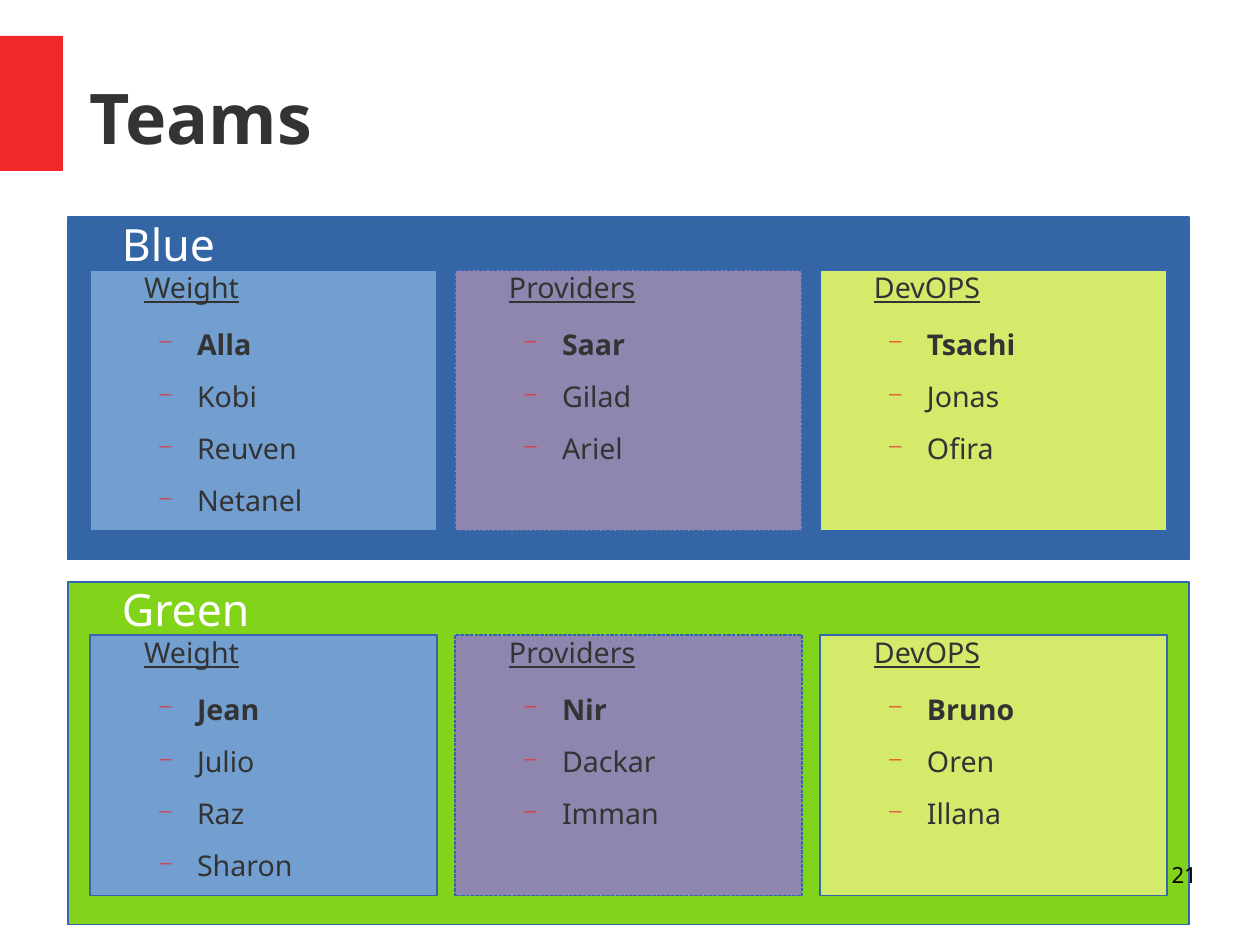
from dataclasses import dataclass
from lxml.etree import SubElement
from pptx import Presentation
from pptx.dml.color import RGBColor as RGB
from pptx.enum.dml import MSO_LINE as DASH
from pptx.enum.shapes import MSO_SHAPE as SHAPE
from pptx.enum.text import MSO_ANCHOR as ANCHOR, PP_ALIGN as ALIGN
from pptx.oxml.ns import qn
from pptx.util import Pt

PX = 8000


@dataclass
class Theme:
    font: str = "Noto Sans"
    red: str = "EF2929"
    edge: str = "3465AF"
    ink: str = "333333"
    white: str = "FFFFFF"
    black: str = "000000"
    title: int = 44
    team: int = 28
    body: int = 18
    page: int = 14


theme = Theme()
groups = [("Weight", "729FCF"), ("Providers", "8E86AE"), ("DevOPS", "D4EA6B")]
teams = [
    ("Blue", "3465A4", [["Alla", "Kobi", "Reuven", "Netanel"],
                        ["Saar", "Gilad", "Ariel"],
                        ["Tsachi", "Jonas", "Ofira"]]),
    ("Green", "81D41A", [["Jean", "Julio", "Raz", "Sharon"],
                         ["Nir", "Dackar", "Imman"],
                         ["Bruno", "Oren", "Illana"]]),
]

deck = Presentation()
deck.slide_width, deck.slide_height = 1260 * PX, 945 * PX
slide = deck.slides.add_slide(deck.slide_layouts[6])


def add_box(place, fill=None, edge=None):
    """Add a rectangle, or a text box if there is no fill, without insets."""
    area = [n * PX for n in place]
    if fill:
        box = slide.shapes.add_shape(SHAPE.RECTANGLE, *area)
        box.shadow.inherit = False
        box.fill.solid()
        box.fill.fore_color.rgb = RGB.from_string(fill)
        if edge:
            box.line.color.rgb = RGB.from_string(edge)
            box.line.width = 0
        else:
            box.line.fill.background()
    else:
        box = slide.shapes.add_textbox(*area)
    frame = box.text_frame
    frame.word_wrap = True
    frame.vertical_anchor = ANCHOR.TOP
    frame.margin_left = frame.margin_right = 0
    frame.margin_top = frame.margin_bottom = 0
    return box


def style(para, size, color, left=0, hang=0, after=0, align=ALIGN.LEFT):
    para.alignment = align
    para.space_after = Pt(after)
    props = para._p.get_or_add_pPr()
    props.set("marL", str(left * PX))
    props.set("indent", str(-hang * PX))
    font = para.runs[0].font
    font.name, font.size = theme.font, Pt(size)
    font.color.rgb = RGB.from_string(color)
    return font


add_box((0, 36, 63, 135), theme.red)

title = add_box((90, 38, 1107, 158)).text_frame
title.vertical_anchor = ANCHOR.MIDDLE
title.text = "Teams"
style(title.paragraphs[0], theme.title, theme.ink).bold = True

for row, (team, fill, lists) in enumerate(teams):
    drop = row * 365
    panel = add_box((68, 217 + drop, 1121, 343), fill, theme.edge).text_frame
    panel.text = team
    style(panel.paragraphs[0], theme.team, theme.white, 54, after=14.1)

    for col, ((group, tint), names) in enumerate(zip(groups, lists)):
        card = add_box((90 + col * 365, 270 + drop, 347, 261), tint, theme.edge)
        if group == "Providers":
            card.line.dash_style = DASH.SQUARE_DOT
        frame = card.text_frame
        frame.text = "\n".join([group, *names])
        head, *items = frame.paragraphs
        style(head, theme.body, theme.ink, 54, after=14.1).underline = True
        for rank, item in enumerate(items):
            font = style(item, theme.body, theme.ink, 107, 40, 11.3)
            font.bold = rank == 0
            item.level = 1
            props = item._p.get_or_add_pPr()
            tone = SubElement(props, qn("a:buClr"))
            SubElement(tone, qn("a:srgbClr"), val=theme.red)
            SubElement(props, qn("a:buSzPct"), val="75000")
            SubElement(props, qn("a:buChar"), char="−")

page = add_box((903, 861, 294, 65)).text_frame
page.text = "21"
style(page.paragraphs[0], theme.page, theme.black, align=ALIGN.RIGHT)

deck.save("out.pptx")
